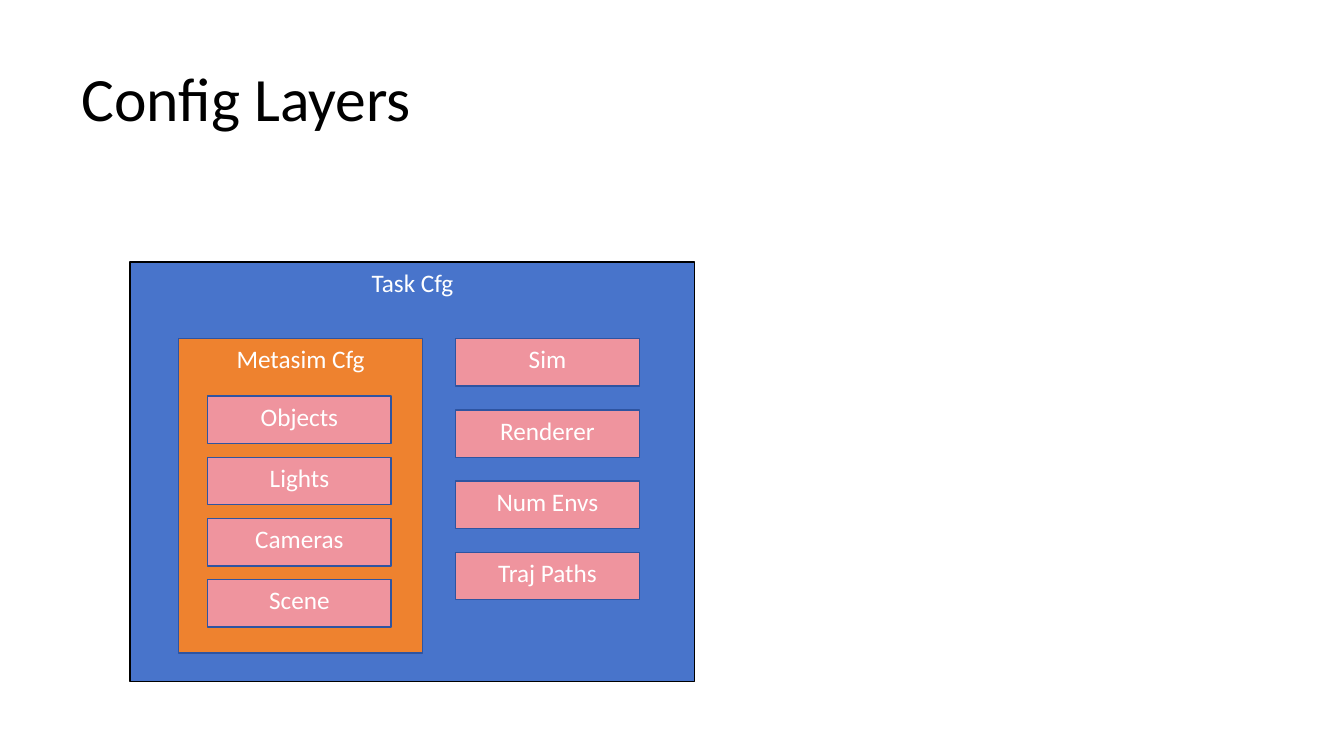
from pptx import Presentation
from pptx.dml.color import RGBColor
from pptx.enum.shapes import MSO_SHAPE
from pptx.enum.text import MSO_ANCHOR, PP_ALIGN
from pptx.util import Inches, Pt

RECTANGLE = MSO_SHAPE.RECTANGLE
TOP, MIDDLE = MSO_ANCHOR.TOP, MSO_ANCHOR.MIDDLE
LEFT, CENTER = PP_ALIGN.LEFT, PP_ALIGN.CENTER
FONT = "Calibri"
BLUE, ORANGE, PINK = "4874CB", "EE822F", "EF949E"
NAVY, BLACK, WHITE = "2E54A1", "000000", "FFFFFF"
TITLE_ONLY = 5


def paint(color_format, color):
    color_format.rgb = RGBColor.from_string(color)


def write(shape, text, size, color, alignment, anchor):
    frame = shape.text_frame
    frame.word_wrap = True
    frame.vertical_anchor = anchor
    paragraph = frame.paragraphs[0]
    paragraph.alignment = alignment
    run = paragraph.add_run()
    run.text = text
    run.font.name = FONT
    run.font.size = Pt(size)
    paint(run.font.color, color)
    return paragraph


presentation = Presentation()
presentation.slide_width = Inches(13.33)
presentation.slide_height = Inches(7.5)
slide = presentation.slides.add_slide(presentation.slide_layouts[TITLE_ONLY])

title = slide.shapes.title
title.left, title.top = Inches(0.71), Inches(0.28)
title.width, title.height = Inches(11.5), Inches(1.45)
title_paragraph = write(title, "Config Layers", 44, BLACK, LEFT, MIDDLE)
title_paragraph.line_spacing = 0.9

boxes = [
    ("Task Cfg", 1.29, 2.6, 5.6, 4.16, BLUE, BLACK),
    ("Metasim Cfg", 1.77, 3.36, 2.42, 3.12, ORANGE, NAVY),
]

item_columns = [
    (2.06, 3.93, 0.607, ["Objects", "Lights", "Cameras", "Scene"]),
    (4.52, 3.36, 0.707, ["Sim", "Renderer", "Num Envs", "Traj Paths"]),
]
for left, first_top, pitch, names in item_columns:
    for row, name in enumerate(names):
        boxes.append((name, left, first_top + row * pitch, 1.82, 0.47, PINK, NAVY))

for name, left, top, width, height, fill, outline in boxes:
    box = slide.shapes.add_shape(
        RECTANGLE, Inches(left), Inches(top), Inches(width), Inches(height)
    )
    box.shadow.inherit = False
    box.fill.solid()
    paint(box.fill.fore_color, fill)
    paint(box.line.color, outline)
    box.line.width = Pt(1)
    write(box, name, 18, WHITE, CENTER, TOP)

presentation.save("out.pptx")
